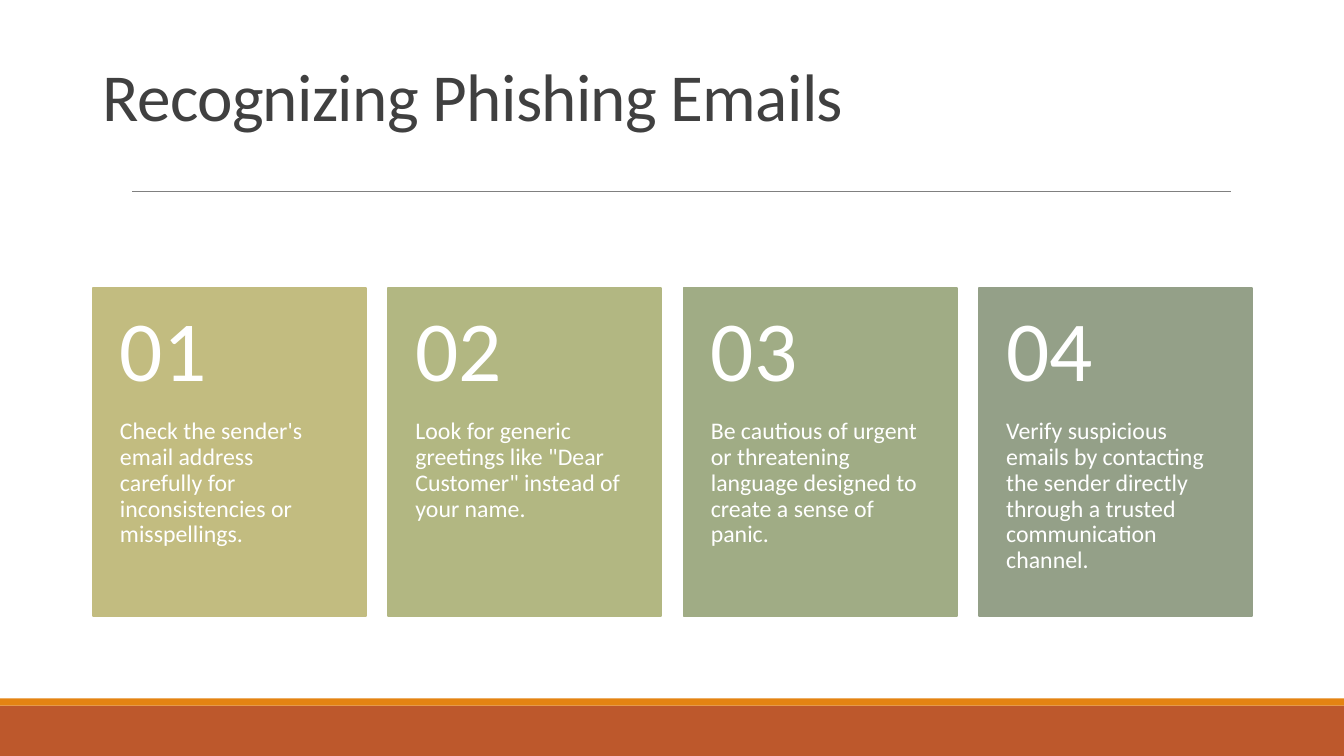
from pptx import Presentation
from pptx.dml.color import RGBColor
from pptx.enum.shapes import MSO_CONNECTOR as Connector, MSO_SHAPE as Shape
from pptx.enum.text import MSO_ANCHOR as Anchor, MSO_AUTO_SIZE as AutoSize, PP_ALIGN as Align
from pptx.oxml.ns import qn
from pptx.util import Inches, Pt
from lxml.etree import SubElement

COLORS = {
    "rust": "BD582C",
    "orange": "E48312",
    "rule": "808080",
    "title": "404040",
    "white": "FFFFFF",
}
FONT = "Calibri"

# Card fill and advice, in reading order
CARDS = [
    ("C2BC80", "Check the sender's email address carefully for inconsistencies or misspellings."),
    ("B2B782", "Look for generic greetings like \"Dear Customer\" instead of your name."),
    ("A0AC85", "Be cautious of urgent or threatening language designed to create a sense of panic."),
    ("94A088", "Verify suspicious emails by contacting the sender directly through a trusted "
               "communication channel."),
]
CARD_LEFT, CARD_TOP, CARD_PITCH = 0.92, 2.86, 2.93
CARD_WIDTH, NUMBER_HEIGHT, ADVICE_HEIGHT = 2.71, 1.3, 1.95


def set_attributes(target, values):
    for name, value in values.items():
        setattr(target, name, value)


def add_rectangle(slide, left, top, width, height, color, line_width=None):
    shape = slide.shapes.add_shape(
        Shape.RECTANGLE, Inches(left), Inches(top), Inches(width), Inches(height))
    shape.shadow.inherit = False
    shape.fill.solid()
    shape.fill.fore_color.rgb = RGBColor.from_string(color)
    if line_width:
        shape.line.color.rgb = RGBColor.from_string(color)
        shape.line.width = Pt(line_width)
    else:
        shape.line.fill.background()


def add_rule(slide, left, right, y):
    rule = slide.shapes.add_connector(
        Connector.STRAIGHT, Inches(left), Inches(y), Inches(right), Inches(y))
    rule.line.color.rgb = RGBColor.from_string(COLORS["rule"])
    rule.line.width = Pt(0.5)
    SubElement(rule._element.spPr, qn("a:effectLst"))


def write_text(shape, text, size, color, line_spacing, frame_format):
    frame = shape.text_frame
    set_attributes(frame, {"word_wrap": True, "auto_size": AutoSize.NONE, **frame_format})
    paragraph = frame.paragraphs[0]
    set_attributes(paragraph, {"alignment": Align.LEFT, "line_spacing": line_spacing})
    run = paragraph.add_run()
    run.text = text
    set_attributes(run.font, {"name": FONT, "size": Pt(size)})
    run.font.color.rgb = RGBColor.from_string(color)
    return run


def add_title(slide, text):
    title = slide.shapes.title
    set_attributes(title, {"left": Inches(0.92), "top": Inches(0.28),
                           "width": Inches(11.49), "height": Inches(1.11)})
    run = write_text(title, text, 48, COLORS["title"], 0.85,
                     {"vertical_anchor": Anchor.BOTTOM})
    run._r.get_or_add_rPr().set("spc", "-50")


def add_card_text(slide, left, top, height, text, size, anchor, inset_top, inset_bottom):
    box = slide.shapes.add_textbox(
        Inches(left), Inches(top), Inches(CARD_WIDTH), Inches(height))
    write_text(box, text, size, COLORS["white"], 0.9, {
        "vertical_anchor": anchor,
        "margin_left": Inches(0.27),
        "margin_right": Inches(0.27),
        "margin_top": Inches(inset_top),
        "margin_bottom": Inches(inset_bottom),
    })


def add_card(slide, index, color, advice):
    left = CARD_LEFT + index * CARD_PITCH
    add_rectangle(slide, left, CARD_TOP, CARD_WIDTH, NUMBER_HEIGHT + ADVICE_HEIGHT, color, 1.25)
    add_card_text(slide, left, CARD_TOP + NUMBER_HEIGHT, ADVICE_HEIGHT,
                  advice, 17, Anchor.TOP, 0, 0.36)
    add_card_text(slide, left, CARD_TOP, NUMBER_HEIGHT,
                  f"{index + 1:02d}", 61, Anchor.MIDDLE, 0.18, 0.18)


def main():
    presentation = Presentation()
    set_attributes(presentation, {"slide_width": Inches(13.33), "slide_height": Inches(7.5)})
    slide = presentation.slides.add_slide(presentation.slide_layouts[5])

    # Footer bands and rule
    add_rectangle(slide, 0, 7, 13.33, 0.5, COLORS["rust"])
    add_rectangle(slide, 0, 6.93, 13.33, 0.07, COLORS["orange"])
    add_rule(slide, 1.31, 12.21, 1.9)

    # Title and numbered cards
    add_title(slide, "Recognizing Phishing Emails")
    for index, (color, advice) in enumerate(CARDS):
        add_card(slide, index, color, advice)

    presentation.save("out.pptx")


if __name__ == "__main__":
    main()
